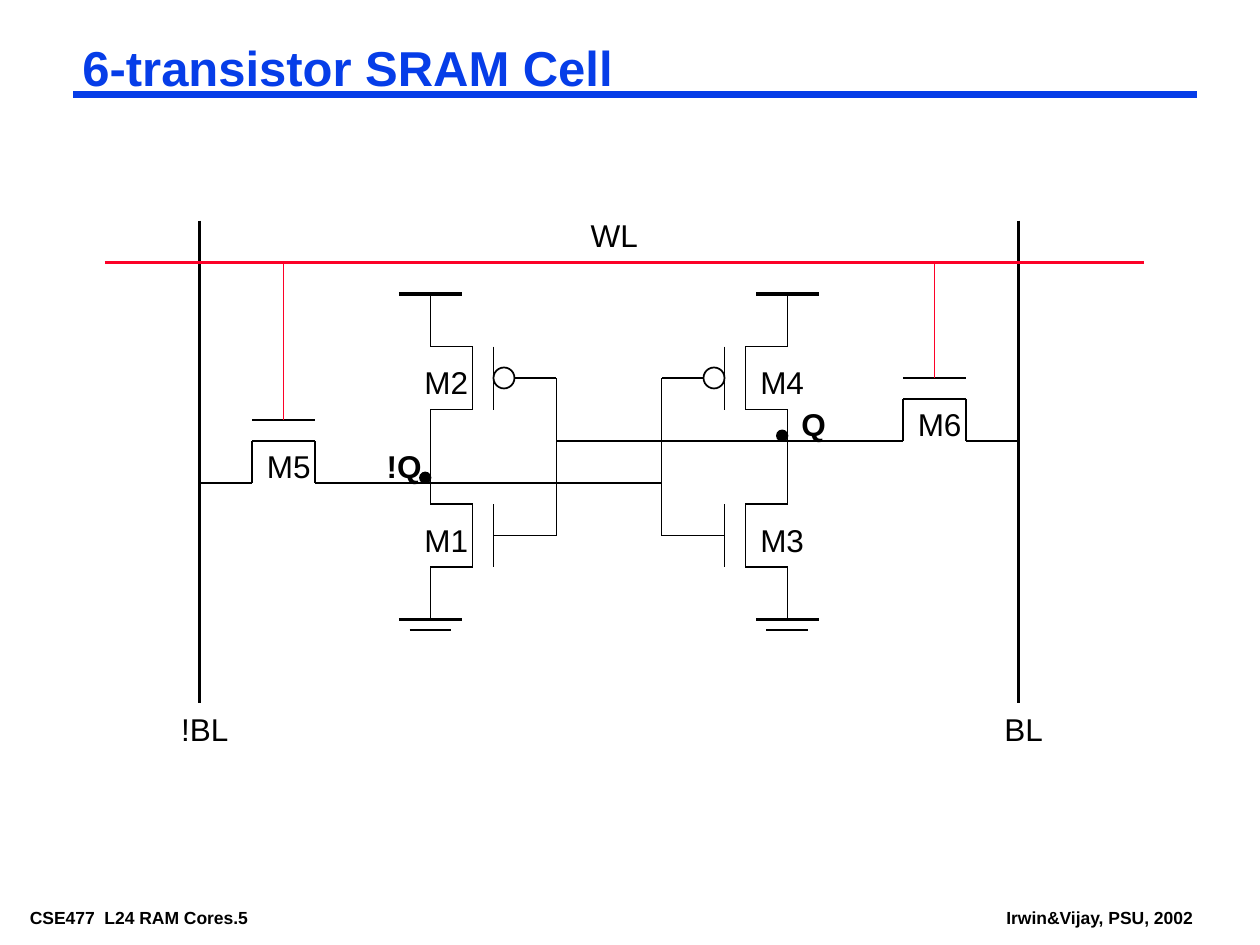
"""Build a slide showing the circuit of a six-transistor SRAM cell."""
from lxml import etree
from pptx import Presentation
from pptx.dml.color import RGBColor
from pptx.enum.shapes import MSO_CONNECTOR as Connector, MSO_SHAPE as Shape
from pptx.enum.text import MSO_AUTO_SIZE as AutoSize, PP_ALIGN as Align
from pptx.oxml.ns import qn
from pptx.util import Cm, Pt

BLACK = RGBColor(0x00, 0x00, 0x00)
BLUE = RGBColor(0x06, 0x3D, 0xE8)
RED = RGBColor(0xFC, 0x01, 0x28)
THIN, THICK = 1, 2.25


def grid(units):
    """Turn circuit grid units, twelve to the inch, into a length."""
    return Cm(units * 2.54 / 12)


def write_text(frame, text, size=18, bold=False, color=BLACK,
               align=Align.CENTER, spacing=1.0, wrap=True, insets=(0.25, 0.13)):
    """Fill a text frame with one formatted paragraph."""
    frame.word_wrap = wrap
    frame.auto_size = AutoSize.SHAPE_TO_FIT_TEXT
    frame.margin_left = frame.margin_right = Cm(insets[0])
    frame.margin_top = frame.margin_bottom = Cm(insets[1])
    paragraph = frame.paragraphs[0]
    paragraph.alignment = align
    paragraph.line_spacing = spacing
    run = paragraph.add_run()
    run.text = text
    run.font.name = "Arial"
    run.font.size = Pt(size)
    run.font.bold = bold
    run.font.color.rgb = color


class Circuit:
    """Draw circuit elements on a slide in one style."""

    def __init__(self, slide, color=BLACK):
        self.shapes = slide.shapes
        self.color = color

    def wire(self, x1, y1, x2, y2, width=THIN, color=None):
        """Draw a straight line."""
        line = self.shapes.add_connector(
            Connector.STRAIGHT, grid(x1), grid(y1), grid(x2), grid(y2))
        line.line.width = Pt(width)
        line.line.color.rgb = color or self.color
        etree.SubElement(line._element.spPr, qn("a:effectLst"))

    def circle(self, left, top, size, filled=False):
        """Draw an inversion bubble or a filled node."""
        shape = self.shapes.add_shape(
            Shape.OVAL, grid(left), grid(top), grid(size), grid(size))
        shape.shadow.inherit = False
        if filled:
            shape.fill.solid()
            shape.fill.fore_color.rgb = self.color
        else:
            shape.fill.background()
        shape.line.width = Pt(THIN)
        shape.line.color.rgb = self.color

    def text(self, text, left, top, width=7, height=4.8, **style):
        """Place a text box."""
        box = self.shapes.add_textbox(
            grid(left), grid(top), grid(width), grid(height))
        write_text(box.text_frame, text, **style)

    def inverter_transistor(self, x, top, side, pmos=False):
        """Draw a vertical transistor whose gate lies towards side."""
        channel, gate, bottom = x + 4 * side, x + 6 * side, top + 6
        self.wire(channel, top, channel, bottom)
        self.wire(gate, top, gate, bottom)
        for contact, end in ((top, top - 5), (bottom, bottom + 5)):
            self.wire(x, contact, channel, contact)
            self.wire(x, contact, x, end)
        if pmos:
            self.circle(gate + side - 1, top + 2, 2)

    def inverter(self, x, side):
        """Draw a transistor pair with its rails and shared gate wire."""
        self.inverter_transistor(x, 48, side)
        self.inverter_transistor(x, 33, side, pmos=True)
        shared = x + 12 * side
        self.wire(x + 8 * side, 36, shared, 36)
        self.wire(x + 6 * side, 51, shared, 51)
        self.wire(shared, 36, shared, 51)
        for y, reach, width in ((28, 3, THICK), (59, 3, THICK), (60, 2, THIN)):
            self.wire(x - reach, y, x + reach, y, width)

    def access_transistor(self, left, gate):
        """Draw a horizontal transistor driven from the word line."""
        right, channel, contact = left + 6, gate + 2, gate + 6
        self.wire(left, gate, right, gate)
        self.wire(left, channel, right, channel)
        for x, end in ((left, left - 5), (right, right + 5)):
            self.wire(x, channel, x, contact)
            self.wire(x, contact, end, contact)


def main():
    """Compose and save the slide."""
    presentation = Presentation()
    presentation.slide_width, presentation.slide_height = Cm(25.4), Cm(19.05)
    slide = presentation.slides.add_slide(presentation.slide_layouts[6])
    circuit = Circuit(slide)

    for footer, left, width in (("CSE477  L24 RAM Cores.5", 2, 29.5),
                                ("Irwin&Vijay, PSU, 2002", 95, 19.5)):
        circuit.text(footer, left, 86, width, 2.64, size=10, bold=True,
                     align=Align.LEFT, wrap=False, insets=(0.18, 0.08))
    circuit.wire(7, 9, 114, 9, 4.5, BLUE)
    circuit.text("6-transistor SRAM Cell", 7, 4, 107, 5.5, size=28, bold=True,
                 color=BLUE, align=Align.LEFT, spacing=0.87, insets=(0.18, 0.08))

    circuit.inverter(41, 1)
    circuit.inverter(75, -1)
    circuit.access_transistor(24, 40)
    circuit.access_transistor(86, 36)
    circuit.wire(35, 46, 63, 46)
    circuit.wire(53, 42, 81, 42)

    for x in (19, 97):
        circuit.wire(x, 21, x, 67, THICK)
    circuit.wire(10, 25, 109, 25, THICK, RED)
    for x, gate in ((27, 40), (89, 36)):
        circuit.wire(x, 25, x, gate, color=RED)

    for label, left, top in (("!BL", 16, 67), ("BL", 94, 67), ("WL", 55, 20),
                             ("M1", 39, 49), ("M2", 39, 34), ("M3", 71, 49),
                             ("M4", 71, 34), ("M5", 24, 42), ("M6", 86, 38)):
        circuit.text(label, left, top)
    for label, left, top in (("Q", 74, 38), ("!Q", 35, 42)):
        circuit.text(label, left, top, bold=True)
    for left, top in ((40, 45), (74, 41)):
        circuit.circle(left, top, 1, filled=True)

    presentation.save("out.pptx")


if __name__ == "__main__":
    main()
